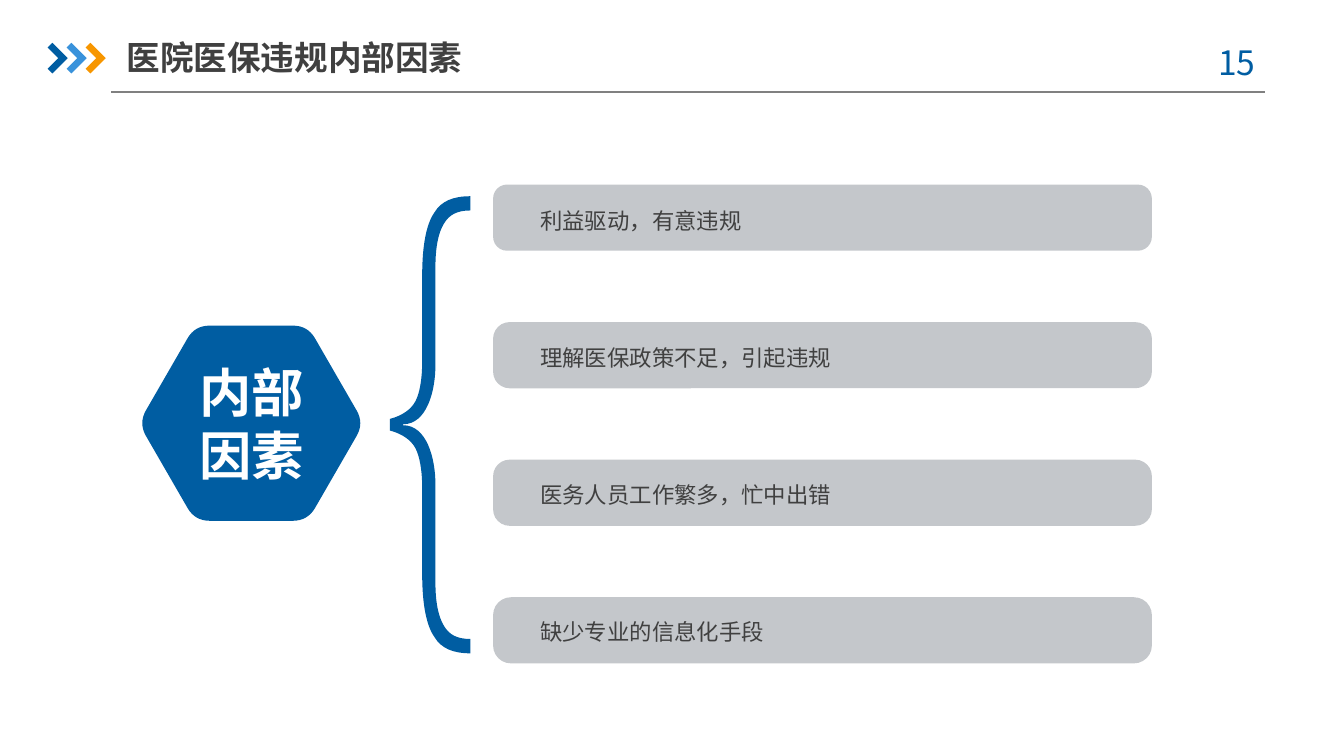
import math
from dataclasses import dataclass

from lxml import etree
from pptx import Presentation
from pptx import util as u
from pptx.dml.color import RGBColor
from pptx.enum import shapes, text
from pptx.oxml.ns import qn


@dataclass(frozen=True)
class Theme:
    font: str = "Noto Sans CJK SC"
    blue: str = "005DA2"
    light_blue: str = "3992DB"
    orange: str = "F79600"
    bar: str = "C4C7CB"
    rule: str = "808080"
    ink: str = "404040"
    white: str = "FFFFFF"
    title_size: int = 18
    hub_size: int = 28
    body_size: int = 12


THEME = Theme()

# Outlines are a start point and segments: one point is a line, three are a curve.
CHEVRON_START = (0, 0.09)
CHEVRON = [[(0.09, 0)], [(0.38, 0.29)], [(0.09, 0.58)], [(0, 0.49)], [(0.2, 0.29)]]

# Upper half of the brace, measured from its tip.
BRACE_START = (0, -0.11)
BRACE_HALF = [
    [(0.23, -0.17), (0.4, -0.29), (0.48, -0.44)],
    [(0.56, -0.59), (0.61, -0.85), (0.61, -1.21)],
    [(0.61, -2.83)],
    [(0.61, -3.39), (0.69, -3.8), (0.84, -4.01)],
    [(0.97, -4.23), (1.2, -4.32), (1.52, -4.32)],
    [(1.52, -4.05)],
    [(1.27, -4.05), (1.12, -3.97), (1.02, -3.8)],
    [(0.91, -3.62), (0.86, -3.34), (0.86, -2.98)],
    [(0.86, -1.13)],
    [(0.86, -0.62), (0.69, -0.01), (0.25, -0.01)],
]

# Each factor with the corner rounding of its bar.
FACTORS = [
    ("利益驱动，有意违规", 0.21),
    ("理解医保政策不足，引起违规", 0.25),
    ("医务人员工作繁多，忙中出错", 0.25),
    ("缺少专业的信息化手段", 0.27),
]


def between(start, end, share):
    return tuple(a + (b - a) * share for a, b in zip(start, end))


def brace_segments():
    """The upper half followed by its mirror image, walked backwards."""
    starts = [BRACE_START] + [segment[-1] for segment in BRACE_HALF]
    x, y = starts[-1]
    segments = BRACE_HALF + [[(x, -y)]]
    for start, segment in reversed(list(zip(starts, BRACE_HALF))):
        backwards = reversed([start, *segment[:-1]])
        segments.append([(x, -y) for x, y in backwards])
    return segments


def rounded_hexagon(radius, cut):
    """Start and segments of a hexagon around (0, 0), two curves to each corner."""
    corners = [(radius * math.cos(k * math.pi / 3), radius * math.sin(k * math.pi / 3))
               for k in range(6)]
    segments = []
    for k, corner in enumerate(corners):
        entry = between(corner, corners[k - 1], cut / radius)
        leave = between(corner, corners[(k + 1) % 6], cut / radius)
        before, after = between(entry, corner, 0.5), between(corner, leave, 0.5)
        middle = between(before, after, 0.5)
        segments += [
            [entry],
            [between(entry, before, 2 / 3), between(middle, before, 2 / 3), middle],
            [between(middle, after, 2 / 3), between(leave, after, 2 / 3), leave],
        ]
    return segments[0][0], segments[1:]


class SlideBuilder:
    def __init__(self, slide, theme):
        self.slide = slide
        self.theme = theme

    def paint(self, shape, color):
        shape.shadow.inherit = False
        shape.fill.solid()
        shape.fill.fore_color.rgb = RGBColor.from_string(color)
        shape.line.fill.background()

    def outline(self, start, segments, left, top, color):
        """Closed freeform in centimetres, moved by left and top."""
        def place(point):
            return u.Cm(left + point[0]), u.Cm(top + point[1])

        builder = self.slide.shapes.build_freeform(*place(start))
        builder.add_line_segments([place(p) for segment in segments for p in segment])
        shape = builder.convert_to_shape()
        lines = iter(list(shape._element.iter(qn("a:lnTo"))))
        for segment in segments:
            steps = [next(lines) for _ in segment]
            if len(steps) == 3:
                steps[0].tag = qn("a:cubicBezTo")
                for step in steps[1:]:
                    steps[0].append(step[0])
                    step.getparent().remove(step)
        outline_path = next(shape._element.iter(qn("a:moveTo"))).getparent()
        etree.SubElement(outline_path, qn("a:close"))
        self.paint(shape, color)

    def bar(self, left, top, width, height, rounding):
        shape = self.slide.shapes.add_shape(
            shapes.MSO_SHAPE.ROUNDED_RECTANGLE,
            u.Cm(left), u.Cm(top), u.Cm(width), u.Cm(height))
        shape.adjustments[0] = rounding
        self.paint(shape, self.theme.bar)

    def rule(self, left, right, y):
        line = self.slide.shapes.add_connector(
            shapes.MSO_CONNECTOR.STRAIGHT, u.Cm(left), u.Cm(y), u.Cm(right), u.Cm(y))
        line.line.color.rgb = RGBColor.from_string(self.theme.rule)
        line.line.width = u.Pt(0.75)
        etree.SubElement(line._element.spPr, qn("a:effectLst"))

    def label(self, words, box, size, color, bold=False, align=text.PP_ALIGN.LEFT,
              anchor=text.MSO_ANCHOR.TOP, insets=(0, 0), grow=True, spacing=None):
        """Text box; insets are (sides, top and bottom) in centimetres."""
        frame = self.slide.shapes.add_textbox(*map(u.Cm, box)).text_frame
        frame.text = words
        frame.word_wrap = True
        frame.vertical_anchor = anchor
        if grow:
            frame.auto_size = text.MSO_AUTO_SIZE.SHAPE_TO_FIT_TEXT
        frame.margin_left = frame.margin_right = u.Cm(insets[0])
        frame.margin_top = frame.margin_bottom = u.Cm(insets[1])
        paragraph = frame.paragraphs[0]
        paragraph.alignment = align
        if spacing:
            paragraph.line_spacing = spacing
        run = paragraph.runs[0]
        run.font.name = self.theme.font
        run.font.size = u.Pt(size)
        run.font.bold = bold
        run.font.color.rgb = RGBColor.from_string(color)
        east_asian = etree.SubElement(run._r.get_or_add_rPr(), qn("a:ea"))
        east_asian.set("typeface", self.theme.font)


def main():
    presentation = Presentation()
    presentation.slide_width = u.Cm(25.4)
    presentation.slide_height = u.Cm(14.29)
    slide = presentation.slides.add_slide(presentation.slide_layouts[6])
    builder = SlideBuilder(slide, THEME)

    builder.rule(2.1, 23.9, 1.74)
    for index, color in enumerate((THEME.blue, THEME.light_blue, THEME.orange)):
        builder.outline(CHEVRON_START, CHEVRON, 0.9 + 0.36 * index, 0.81, color)
    builder.label("15 ", (22.52, 0.66, 1.85, 1.02), THEME.title_size, THEME.blue,
                  align=text.PP_ALIGN.CENTER, insets=(0.25, 0.13))

    builder.outline(*rounded_hexagon(2.13, 0.28), 4.75, 8, THEME.blue)
    builder.label("内部因素", (3.5, 6.81, 2.51, 2.39), THEME.hub_size, THEME.white,
                  bold=True, align=text.PP_ALIGN.CENTER)
    builder.outline(BRACE_START, brace_segments(), 7.37, 8.03, THEME.blue)

    for index, (factor, rounding) in enumerate(FACTORS):
        builder.bar(9.32, 3.49 + 2.6 * index, 12.45, 1.25, rounding)
        builder.label(factor, (10.21, 3.81 + 2.59 * index, 10.44, 0.61),
                      THEME.body_size, THEME.ink,
                      align=text.PP_ALIGN.JUSTIFY, spacing=1.2)
    builder.label("医院医保违规内部因素", (2.39, 0.54, 7.11, 1.07), THEME.title_size,
                  THEME.ink, bold=True, anchor=text.MSO_ANCHOR.MIDDLE,
                  insets=(0, 0.13), grow=False)

    presentation.save("out.pptx")


if __name__ == "__main__":
    main()
